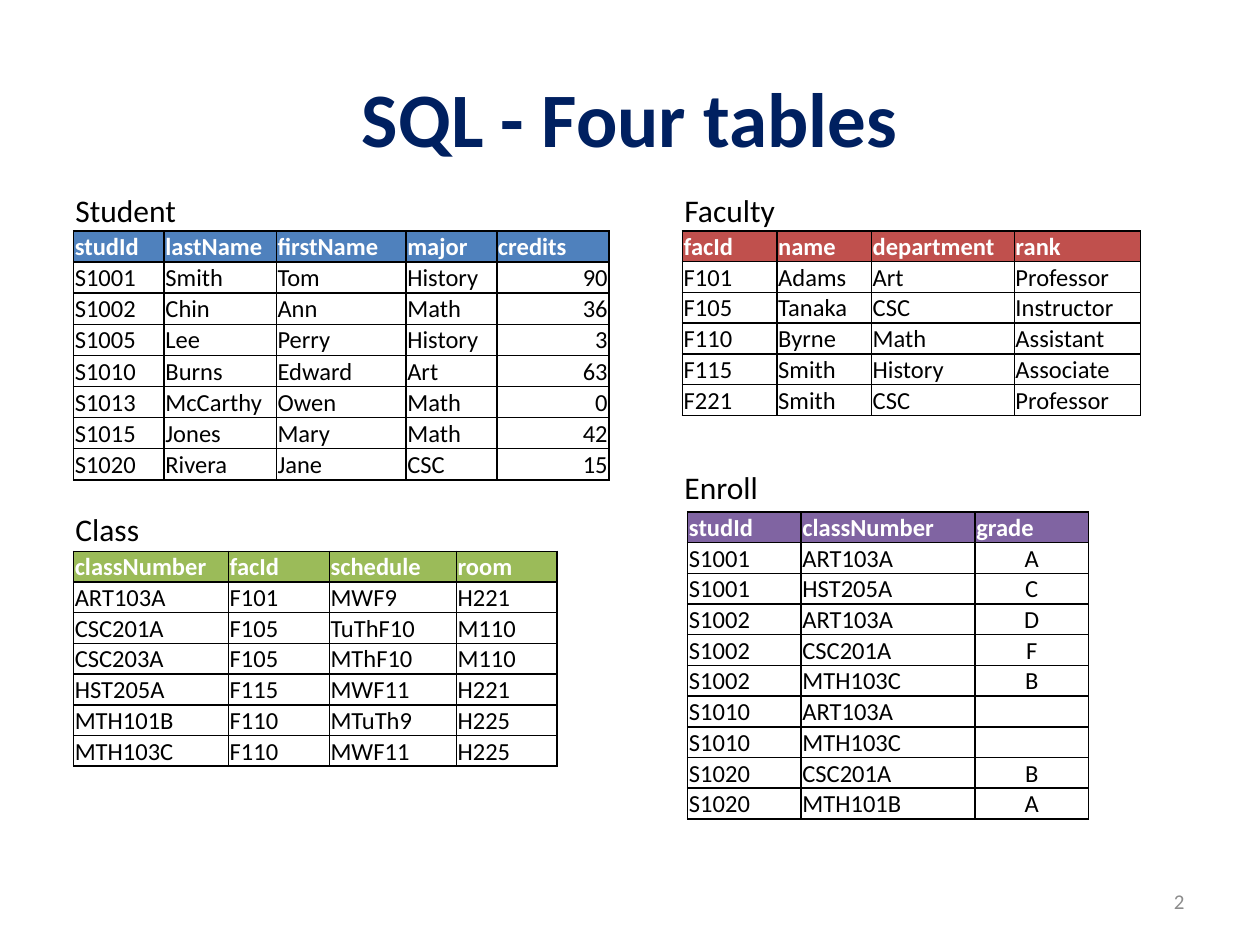
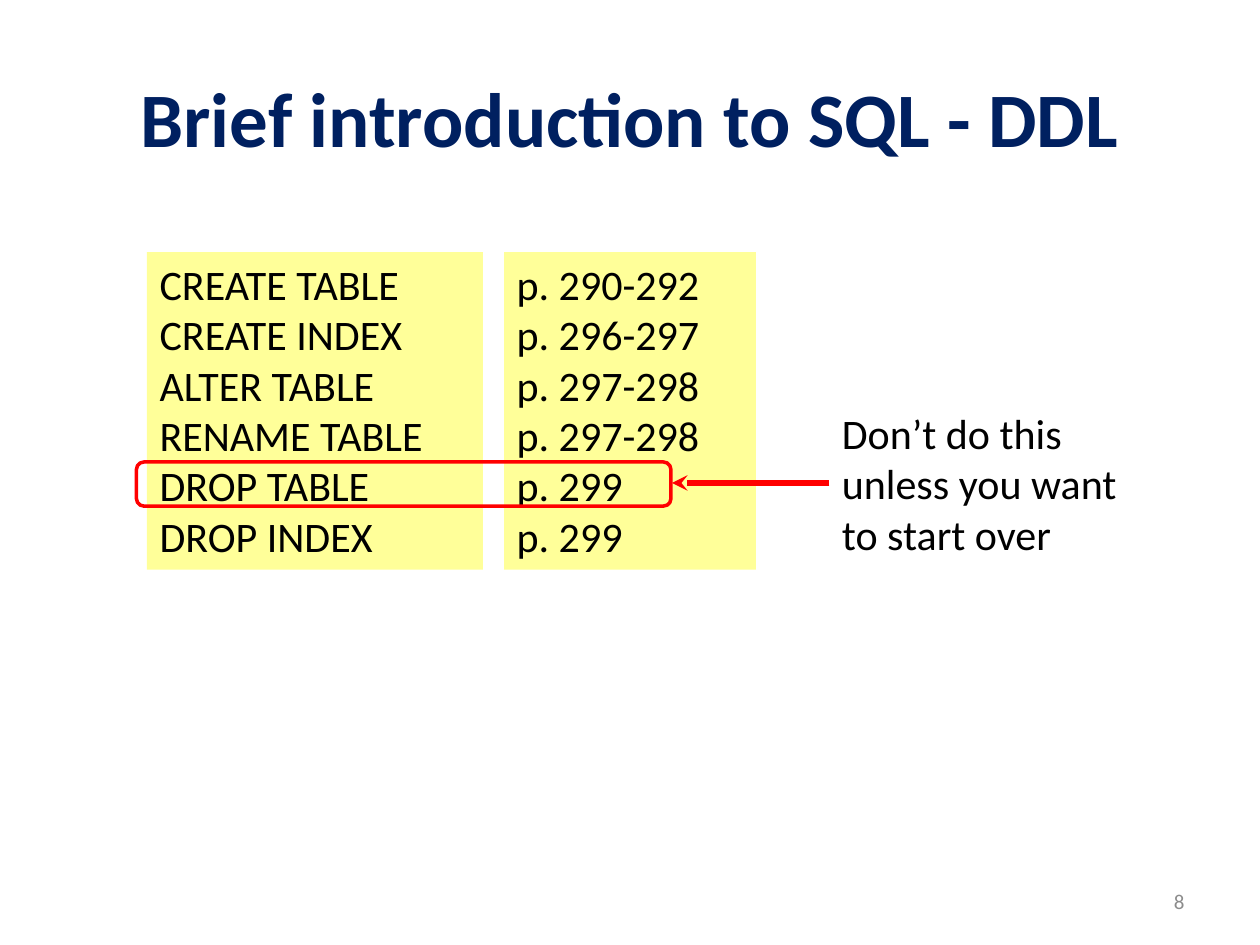
from lxml.etree import SubElement
from pptx import Presentation
from pptx.dml.color import RGBColor
from pptx.enum.shapes import MSO_CONNECTOR, MSO_SHAPE
from pptx.enum.text import MSO_ANCHOR, MSO_AUTO_SIZE, PP_ALIGN
from pptx.oxml.ns import qn
from pptx.util import Emu, Inches, Pt

LEFT, MID, RIGHT = PP_ALIGN.LEFT, PP_ALIGN.CENTER, PP_ALIGN.RIGHT
TOP, CENTER, BOTTOM = MSO_ANCHOR.TOP, MSO_ANCHOR.MIDDLE, MSO_ANCHOR.BOTTOM
RECT, LINE = MSO_SHAPE.ROUNDED_RECTANGLE, MSO_CONNECTOR.STRAIGHT
FIXED = MSO_AUTO_SIZE.NONE

NAVY, GRAY, BLACK, WHITE = "002060", "8C8C8C", "000000", "FFFFFF"
BLUE, BRICK, GREEN, PLUM = "4F81BD", "C0504D", "9BBB59", "8064A2"
RED, CREAM = "FF0000", "FFFF99"
FONT = "Calibri"
ROW = 2.92
ink = RGBColor.from_string

deck = Presentation()
deck.slide_width, deck.slide_height = Inches(10), Inches(7.5)
UNIT = deck.slide_width / 120


def grid(*spans):
    return [Emu(round(span * UNIT)) for span in spans]


def write(frame, lines, size, color, bold=False, align=LEFT):
    frame.text = "\n".join(lines)
    for para in frame.paragraphs:
        para.alignment = align
        para.space_before = Pt(0)
        for run in para.runs:
            form = {"name": FONT, "size": Pt(size), "bold": bold}
            for key, val in form.items():
                setattr(run.font, key, val)
            run.font.color.rgb = ink(color)


pages = []
for plan, head, num in [(5, "SQL - Four tables", "2"),
                        (3, "Brief introduction to SQL - DDL", "8")]:
    page = deck.slides.add_slide(deck.slide_layouts[plan])
    pages.append(page)
    title = page.shapes.title
    title.left, title.top, title.width, title.height = grid(6, 3.6, 108, 15)
    write(title.text_frame, [head], 44, NAVY, True, MID)
    foot = page.shapes.add_textbox(*grid(86, 83.4, 28, 4.8)).text_frame
    write(foot, [num], 12, GRAY, align=RIGHT)
    for frame, wrap in [(title.text_frame, True), (foot, True)]:
        form = {"word_wrap": wrap, "auto_size": FIXED, "vertical_anchor": CENTER}
        for key, val in form.items():
            setattr(frame, key, val)

four, ddl = pages

student = """studId lastName firstName major credits
S1001 Smith Tom History 90
S1002 Chin Ann Math 36
S1005 Lee Perry History 3
S1010 Burns Edward Art 63
S1013 McCarthy Owen Math 0
S1015 Jones Mary Math 42
S1020 Rivera Jane CSC 15"""
staff = """facId name department rank
F101 Adams Art Professor
F105 Tanaka CSC Instructor
F110 Byrne Math Assistant
F115 Smith History Associate
F221 Smith CSC Professor"""
course = """classNumber facId schedule room
ART103A F101 MWF9 H221
CSC201A F105 TuThF10 M110
CSC203A F105 MThF10 M110
HST205A F115 MWF11 H221
MTH101B F110 MTuTh9 H225
MTH103C F110 MWF11 H225"""
enroll = """studId classNumber grade
S1001 ART103A A
S1001 HST205A C
S1002 ART103A D
S1002 CSC201A F
S1002 MTH103C B
S1010 ART103A
S1010 MTH103C
S1020 CSC201A B
S1020 MTH101B A"""

tables = [
    ("Student", (6, 17.6, 12.1), (7, 22), (8.64, 10.68, 12.36, 8.64, 10.68),
     BLUE, RIGHT, student),
    ("Faculty", (64, 17.6, 11.2), (65, 22), (9, 9, 13.6, 12),
     BRICK, LEFT, staff),
    ("Class", (6, 48, 8.5), (7, 52.5), (14.76, 9.6, 12.1, 9.6),
     GREEN, LEFT, course),
    ("Enroll", (64, 44, 9.5), (65.5, 48.75), (10.8, 16.56, 10.8),
     PLUM, MID, enroll),
]
for name, (left, top, wide), spot, cols, tint, last, text in tables:
    rows = [line.split() for line in text.splitlines()]
    size = grid(*spot, sum(cols), ROW * len(rows))
    table = four.shapes.add_table(len(rows), len(cols), *size).table
    table.horz_banding = False
    for col, span in zip(table.columns, cols):
        col.width = grid(span)[0]
    for r, row in enumerate(rows):
        table.rows[r].height = grid(ROW)[0]
        for c in range(len(cols)):
            cell = table.cell(r, c)
            word = row[c] if c < len(row) else ""
            side = last if r and c == len(cols) - 1 else LEFT
            write(cell.text_frame, [word], 14, BLACK if r else WHITE, not r, side)
            if not word:
                SubElement(cell.text_frame.paragraphs[0]._p,
                           qn("a:endParaRPr"), sz="1400")
            pad = Inches(0.01)
            form = {"margin_left": pad, "margin_right": pad, "margin_top": pad,
                    "margin_bottom": 0, "vertical_anchor": BOTTOM}
            for key, val in form.items():
                setattr(cell, key, val)
            props = cell._tc.get_or_add_tcPr()
            for edge in ("lnL", "lnR", "lnT", "lnB"):
                rule = SubElement(props, qn("a:" + edge), w=str(Pt(1)))
                fill = SubElement(rule, qn("a:solidFill"))
                SubElement(fill, qn("a:srgbClr"), val=BLACK)
            if r:
                cell.fill.background()
            else:
                cell.fill.solid()
                cell.fill.fore_color.rgb = ink(tint)
    label = four.shapes.add_textbox(*grid(left, top, wide, 4.8)).text_frame
    label.word_wrap = False
    write(label, [name], 18, BLACK)

verbs = ["CREATE TABLE", "CREATE INDEX", "ALTER TABLE", "RENAME TABLE",
         "DROP TABLE", "DROP INDEX"]
leaves = ["p. 290-292", "p. 296-297", "p. 297-298", "p. 297-298",
          "p. 299", "p. 299"]
for slot, left, wide, lines in [(1, 14, 32, verbs), (2, 48, 24, leaves)]:
    body = ddl.placeholders[slot]
    body.left, body.top, body.width, body.height = grid(left, 24, wide, 30.25)
    body.fill.solid()
    body.fill.fore_color.rgb = ink(CREAM)
    frame = body.text_frame
    form = {"word_wrap": True, "auto_size": FIXED, "vertical_anchor": TOP}
    for key, val in form.items():
        setattr(frame, key, val)
    write(frame, lines, 24, BLACK)
    for para in frame.paragraphs:
        props = para._p.get_or_add_pPr()
        props.set("marL", "0")
        props.set("indent", "0")
        SubElement(props, qn("a:buNone"))

arrow = ddl.shapes.add_connector(LINE, *grid(79, 46, 64, 46))
arrow.line.color.rgb = ink(RED)
arrow.line.width = Pt(3)
SubElement(arrow.line._get_or_add_ln(), qn("a:tailEnd"), type="stealth")
SubElement(arrow._element.spPr, qn("a:effectLst"))

note = ddl.shapes.add_textbox(*grid(79, 38.2, 31, 15.7)).text_frame
note.word_wrap = True
write(note, ["Don’t do this unless you want to start over"], 24, BLACK)

ring = ddl.shapes.add_shape(RECT, *grid(13, 44, 50.9, 4.2))
ring.shadow.inherit = False
ring.fill.background()
ring.line.color.rgb = ink(RED)
ring.line.width = Pt(2)

deck.save("out.pptx")
